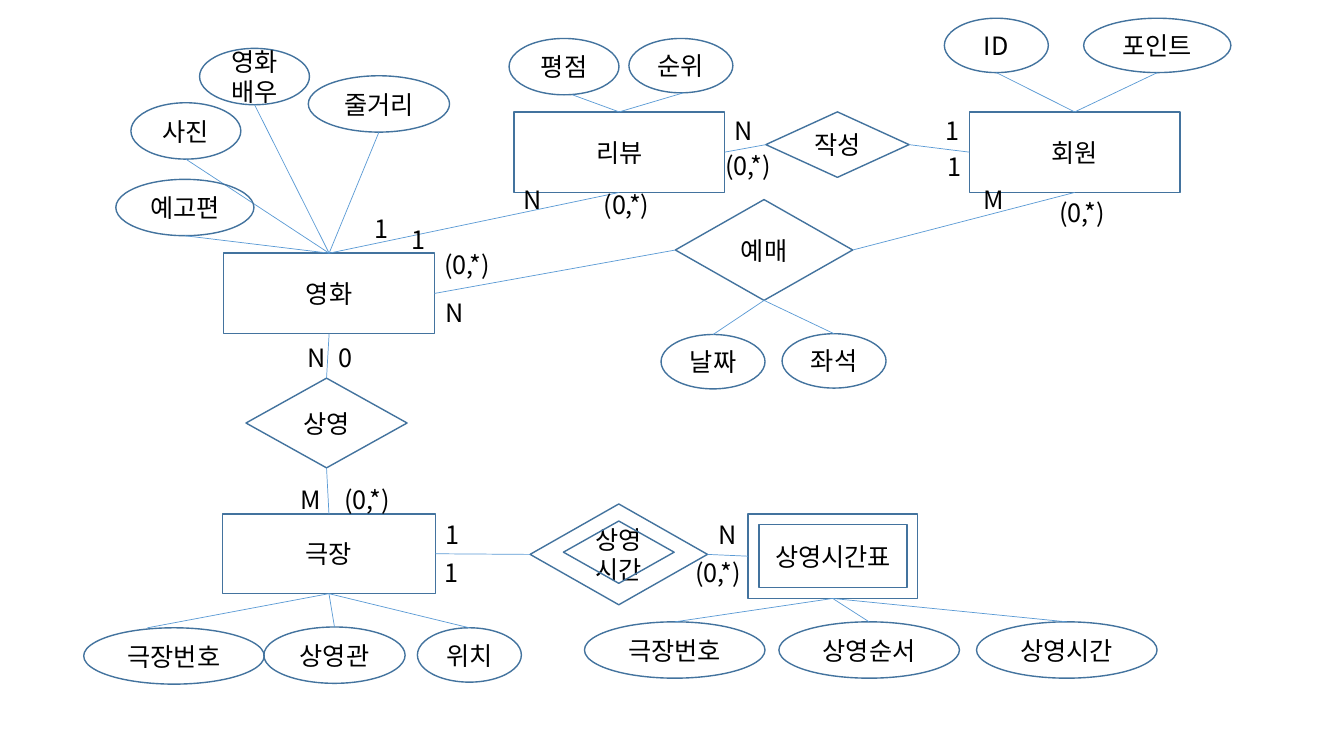
from lxml import etree
from pptx import Presentation
from pptx import util as u
from pptx.dml.color import RGBColor
from pptx.enum import shapes, text
from pptx.oxml.ns import qn

COLORS = {"outline": "43739E", "link": "5B9BD5", "text": "000000"}
FONT = "Noto Sans CJK KR"
TOP, LEFT, BOTTOM, RIGHT = range(4)  # connection sites
RECT = shapes.MSO_SHAPE.RECTANGLE
DIAMOND = shapes.MSO_SHAPE.FLOWCHART_DECISION

# key: (text, left, top, width, height), all in cm
ENTITIES = {
    "movie": ("영화", 5.64, 6.38, 5.31, 2.03),
    "review": ("리뷰", 12.95, 2.82, 5.31, 2.03),
    "member": ("회원", 24.43, 2.82, 5.31, 2.03),
    "theater": ("극장", 5.61, 12.95, 5.36, 2.01),
}
RELATIONSHIPS = {
    "booking": ("예매", 17.02, 5.03, 4.47, 2.54),
    "writing": ("작성", 19.3, 2.82, 3.61, 1.65),
    "screening": ("상영", 6.2, 9.53, 4.06, 2.26),
}
LINKS = [
    ("writing", RIGHT, "member", LEFT),
    ("review", RIGHT, "writing", LEFT),
    ("review", BOTTOM, "movie", TOP),
    ("movie", RIGHT, "booking", LEFT),
    ("booking", RIGHT, "member", BOTTOM),
    ("movie", BOTTOM, "screening", TOP),
    ("screening", BOTTOM, "theater", TOP),
    ("theater", RIGHT, "showtime", LEFT),
    ("showtime", RIGHT, "timetable", LEFT),
]
# (owner, owner side): (text, left, top, width, height, shift of the link's end)
ATTRIBUTES = {
    ("movie", TOP): [
        ("사진", 3.3, 2.59, 2.77, 1.42, 0),
        ("영화배우", 5.03, 1.22, 2.77, 1.42, 0),
        ("줄거리", 7.77, 1.91, 3.56, 1.42, 0),
        ("예고편", 2.92, 4.52, 3.48, 1.42, 0),
    ],
    ("review", TOP): [
        ("평점", 12.83, 0.97, 2.77, 1.42, 0.21),
        ("순위", 15.85, 0.97, 2.62, 1.37, 0.06),
    ],
    ("member", TOP): [
        ("ID", 23.8, 0.46, 2.62, 1.37, 0),
        ("포인트", 27.31, 0.46, 3.71, 1.37, 0),
    ],
    ("booking", BOTTOM): [
        ("날짜", 16.66, 8.43, 2.62, 1.37, 0),
        ("좌석", 19.71, 8.41, 2.62, 1.37, 0),
    ],
    ("theater", BOTTOM): [
        ("극장번호", 2.11, 15.82, 4.55, 1.42, -0.67),
        ("상영관", 6.65, 15.8, 3.56, 1.42, 0),
        ("위치", 10.52, 15.82, 2.62, 1.37, 0),
    ],
    ("timetable", BOTTOM): [
        ("극장번호", 14.73, 15.67, 4.55, 1.42, 0),
        ("상영순서", 19.63, 15.67, 4.55, 1.42, 0),
        ("상영시간", 24.61, 15.67, 4.55, 1.42, 0),
    ],
}
# label: left and top of each place, in cm
CARDINALITIES = {
    "N": [(7.49, 8.51), (10.97, 7.37), (17.86, 12.95), (12.95, 4.52), (18.26, 2.79)],
    "M": [(7.32, 12.09), (24.54, 4.52)],
    "1": [(10.97, 12.95), (10.11, 5.54), (10.95, 13.92), (23.57, 2.79),
          (23.62, 3.68), (9.19, 5.26)],
    "0": [(8.28, 8.51)],
    "(0,*)": [(8.43, 12.09), (17.27, 13.92), (10.95, 6.17), (26.44, 4.85),
              (18.03, 3.66), (14.96, 4.65)],
}


def write(frame, words, align):
    frame.word_wrap = True
    paragraph = frame.paragraphs[0]
    paragraph.alignment = align
    run = paragraph.add_run()
    run.text = words
    run.font.name = FONT
    run.font.size = u.Pt(18)
    run.font.color.rgb = RGBColor.from_string(COLORS["text"])
    etree.SubElement(run.font._element, qn("a:ea"), typeface=FONT)


def add_node(parent, preset, words, *box):
    """Outlined shape with centred text; box is left, top, width, height in cm."""
    node = parent.add_shape(preset, *map(u.Cm, box))
    node.shadow.inherit = False
    node.fill.background()
    node.line.color.rgb = RGBColor.from_string(COLORS["outline"])
    node.line.width = u.Pt(1)
    if words:
        node.text_frame.vertical_anchor = text.MSO_ANCHOR.MIDDLE
        write(node.text_frame, words, text.PP_ALIGN.CENTER)
    return node


def add_link(slide, target, side, start=(0, 0)):
    """Straight line from a point to one side of the target."""
    link = slide.shapes.add_connector(shapes.MSO_CONNECTOR.STRAIGHT, *start, *start)
    link.end_connect(target, side)
    link.line.color.rgb = RGBColor.from_string(COLORS["link"])
    link.line.width = u.Pt(0.5)
    etree.SubElement(link._element.spPr, qn("a:effectLst"))
    return link


def add_attribute(slide, owner, side, words, left, top, width, height, shift):
    add_node(slide.shapes, shapes.MSO_SHAPE.OVAL, words, left, top, width, height)
    end_y = top + height if side == TOP else top
    start = u.Cm(left + width / 2 + shift), u.Cm(end_y)
    add_link(slide, owner, side, start)


def add_cardinality(slide, words, left, top):
    width = 1.78 if len(words) > 1 else 0.94
    label = slide.shapes.add_textbox(*map(u.Cm, (left, top, width, 1.02)))
    write(label.text_frame, words, text.PP_ALIGN.LEFT)


def add_weak_nodes(slide):
    """Double-outlined relationship and entity, each kept as a group."""
    relationship = slide.shapes.add_group_shape().shapes
    showtime = add_node(relationship, DIAMOND, "상영시간", 13.36, 12.7, 4.47, 2.54)
    add_node(relationship, DIAMOND, "", 14.2, 13.13, 2.79, 1.57)
    entity = slide.shapes.add_group_shape().shapes
    add_node(entity, RECT, "상영시간표", 19.13, 13.21, 3.73, 1.6)
    timetable = add_node(entity, RECT, "", 18.85, 12.95, 4.27, 2.13)
    return {"showtime": showtime, "timetable": timetable}


def main():
    deck = Presentation()
    deck.slide_width, deck.slide_height = u.Cm(33.87), u.Cm(19.05)
    slide = deck.slides.add_slide(deck.slide_layouts[6])

    nodes = add_weak_nodes(slide)
    for preset, group in ((RECT, ENTITIES), (DIAMOND, RELATIONSHIPS)):
        for key, node in group.items():
            nodes[key] = add_node(slide.shapes, preset, *node)
    for source, source_side, target, target_side in LINKS:
        link = add_link(slide, nodes[target], target_side)
        link.begin_connect(nodes[source], source_side)
    for (owner, side), attributes in ATTRIBUTES.items():
        for attribute in attributes:
            add_attribute(slide, nodes[owner], side, *attribute)
    for words, places in CARDINALITIES.items():
        for place in places:
            add_cardinality(slide, words, *place)
    deck.save("out.pptx")


if __name__ == "__main__":
    main()
